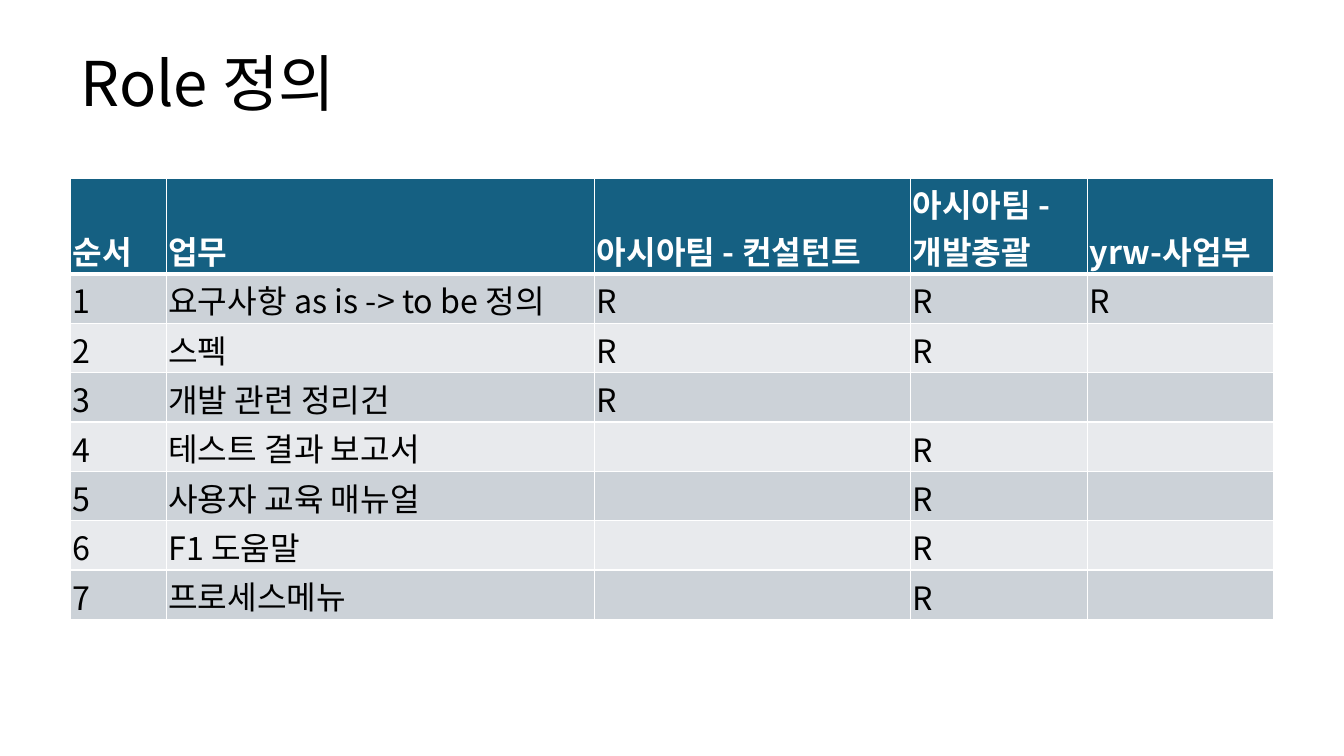
from lxml import etree
from pptx import Presentation
from pptx.dml.color import RGBColor
from pptx.enum.text import MSO_ANCHOR
from pptx.oxml.ns import qn
from pptx.util import Inches, Pt

MIDDLE, BOTTOM = MSO_ANCHOR.MIDDLE, MSO_ANCHOR.BOTTOM
FONT = "Noto Sans CJK KR"
WHITE, BLACK, HEAD = "FFFFFF", "000000", "156082"
BANDS = ("E8EAED", "CCD2D8")

# Content: header, then task with the teams responsible
TITLE = "Role 정의"
HEADS = ["순서", "업무", "아시아팀 - 컨설턴트", "아시아팀 - 개발총괄", "yrw-사업부"]
TASKS = [
    ("요구사항 as is -> to be 정의", "R", "R", "R"),
    ("스펙", "R", "R", ""),
    ("개발 관련 정리건", "R", "", ""),
    ("테스트 결과 보고서", "", "R", ""),
    ("사용자 교육 매뉴얼", "", "R", ""),
    ("F1 도움말", "", "R", ""),
    ("프로세스메뉴", "", "R", ""),
]
ROWS = [HEADS] + [(str(n), *task) for n, task in enumerate(TASKS, 1)]

# Layout in inches
LEFT, TOP = 0.7, 1.77
COLS = [0.95, 4.25, 3.13, 1.76, 1.84]
TALL = [0.87] + [0.49] * len(TASKS)


def paint(color):
    return RGBColor.from_string(color)


def style(frame, size, color, bold=False):
    for run in frame.paragraphs[0].runs:
        font = run.font
        font.name, font.size, font.bold = FONT, Pt(size), bold
        font.color.rgb = paint(color)
        east = etree.SubElement(font._element, qn("a:ea"))
        east.set("typeface", FONT)


def edge(cell, side, width):
    line = etree.SubElement(cell._tc.get_or_add_tcPr(), qn("a:ln" + side))
    line.set("w", str(Pt(width)))
    fill = etree.SubElement(line, qn("a:solidFill"))
    etree.SubElement(fill, qn("a:srgbClr")).set("val", WHITE)


def fill_cell(cell, text, row, col):
    head = row == 0
    cell.text_frame.text = text
    style(cell.text_frame, 23, WHITE if head else BLACK, head)
    cell.margin_left = cell.margin_right = cell.margin_top = Inches(0.02)
    cell.margin_bottom = 0
    cell.vertical_anchor = MIDDLE if col == 1 and not head else BOTTOM
    for side in "LRTB":
        thick = (head and side == "B") or (row == 1 and side == "T")
        edge(cell, side, 3 if thick else 1)
    cell.fill.solid()
    cell.fill.fore_color.rgb = paint(HEAD if head else BANDS[row % 2])


def main():
    deck = Presentation()
    deck.slide_width, deck.slide_height = Inches(13.33), Inches(7.5)
    slide = deck.slides.add_slide(deck.slide_layouts[5])

    # Title
    title = slide.shapes.title
    title.left, title.top = Inches(LEFT), Inches(0.13)
    title.width, title.height = Inches(11.5), Inches(1.45)
    frame = title.text_frame
    frame.text = TITLE
    frame.vertical_anchor = MIDDLE
    frame.paragraphs[0].alignment = 1
    frame.paragraphs[0].line_spacing = 0.9
    style(frame, 44, BLACK)

    # Role table
    box = [Inches(v) for v in (LEFT, TOP, sum(COLS), sum(TALL))]
    table = slide.shapes.add_table(len(ROWS), len(COLS), *box).table
    for col, width in zip(table.columns, COLS):
        col.width = Inches(width)
    for row, high in zip(table.rows, TALL):
        row.height = Inches(high)
    for r, texts in enumerate(ROWS):
        for c, text in enumerate(texts):
            fill_cell(table.cell(r, c), text, r, c)

    deck.save("out.pptx")


if __name__ == "__main__":
    main()
